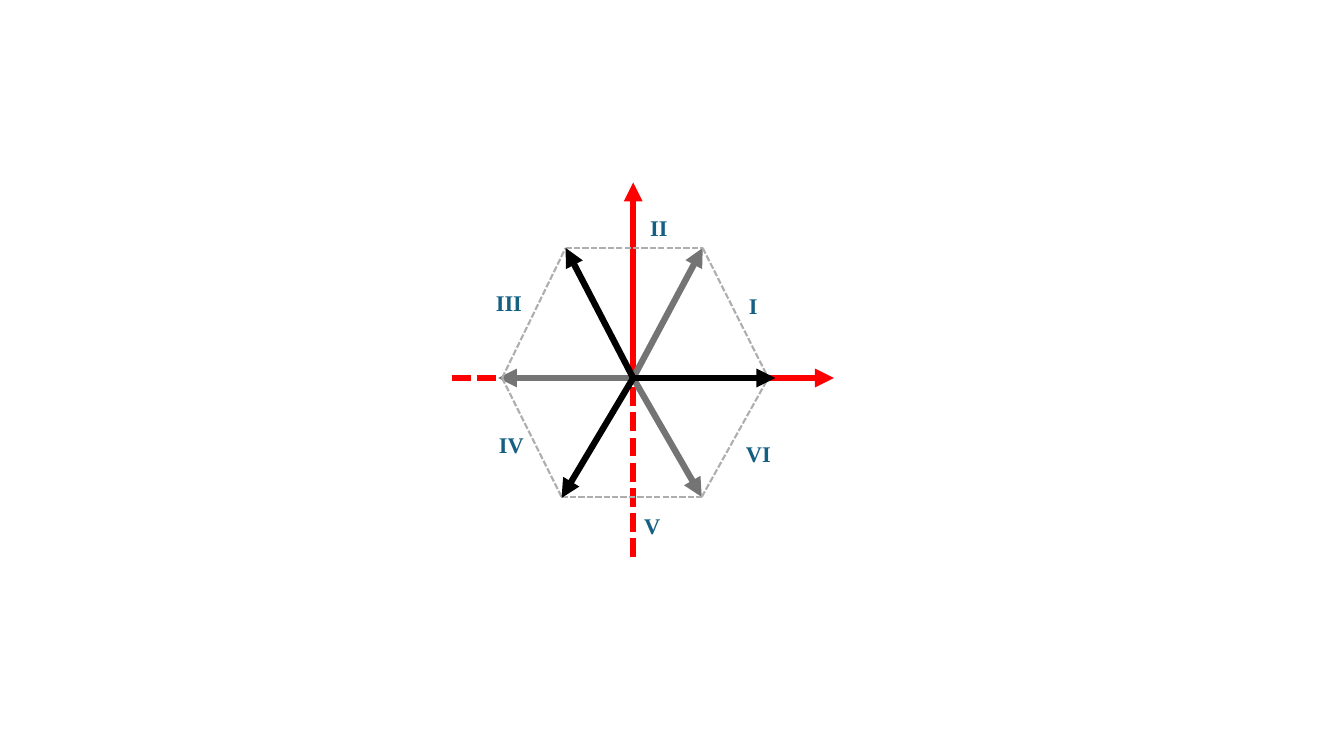
from dataclasses import dataclass

from lxml.etree import SubElement
from pptx import Presentation
from pptx.dml.color import RGBColor
from pptx.enum.dml import MSO_LINE
from pptx.enum.shapes import MSO_CONNECTOR
from pptx.enum.text import MSO_AUTO_SIZE
from pptx.oxml.ns import qn
from pptx.util import Inches, Pt


@dataclass(frozen=True)
class Theme:
    axis: str = "FF0000"
    opposite_vector: str = "747474"
    phase_vector: str = "000000"
    hexagon: str = "AEAEAE"
    label: str = "156082"
    font: str = "Times New Roman"
    label_size: float = 16
    heavy: float = 4.5
    thin: float = 1.5


THEME = Theme()

ORIGIN = (6.28, 3.75)
POSITIVE_AXES = [(8.27, 3.75), (6.28, 1.81)]
NEGATIVE_AXES = [(4.48, 3.75), (6.28, 5.53)]
OPPOSITE_TIPS = [(6.97, 2.46), (6.96, 4.93), (4.94, 3.75)]
PHASE_TIPS = [(7.69, 3.75), (5.61, 2.46), (5.57, 4.94)]

CORNERS = {
    "right": (7.62, 3.75),
    "upper right": (6.97, 2.46),
    "upper left": (5.61, 2.46),
    "left": (4.98, 3.75),
    "lower left": (5.57, 4.93),
    "lower right": (6.96, 4.93),
}
EDGES = [
    ("upper left", "upper right"),
    ("left", "upper left"),
    ("upper right", "right"),
    ("lower left", "lower right"),
    ("lower right", "right"),
    ("left", "lower left"),
]

SECTORS = [
    ("I", 7.33, 2.85, 0.29),
    ("II", 6.35, 2.08, 0.38),
    ("III", 4.82, 2.82, 0.46),
    ("IV", 4.85, 4.23, 0.45),
    ("V", 6.29, 5.03, 0.36),
    ("VI", 7.3, 4.32, 0.45),
]
LABEL_HEIGHT = 0.37


def draw_line(slide, start, end, color, width, dashed=False, arrow=False):
    segment = slide.shapes.add_connector(
        MSO_CONNECTOR.STRAIGHT, *map(Inches, start + end)
    )
    segment.line.color.rgb = RGBColor.from_string(color)
    segment.line.width = Pt(width)
    if dashed:
        segment.line.dash_style = MSO_LINE.SQUARE_DOT
    properties = segment._element.spPr
    if arrow:
        SubElement(properties.find(qn("a:ln")), qn("a:tailEnd"), type="triangle")
    SubElement(properties, qn("a:effectLst"))


def draw_vectors(slide, tips, color):
    for tip in tips:
        draw_line(slide, ORIGIN, tip, color, THEME.heavy, arrow=True)


def draw_label(slide, numeral, left, top, width):
    label = slide.shapes.add_textbox(*map(Inches, (left, top, width, LABEL_HEIGHT)))
    frame = label.text_frame
    frame.word_wrap = False
    frame.auto_size = MSO_AUTO_SIZE.SHAPE_TO_FIT_TEXT
    paragraph = frame.paragraphs[0]
    paragraph.text = numeral
    paragraph.font.name = THEME.font
    paragraph.font.size = Pt(THEME.label_size)
    paragraph.font.bold = True
    paragraph.font.color.rgb = RGBColor.from_string(THEME.label)


def main():
    deck = Presentation()
    deck.slide_width, deck.slide_height = Inches(13.33), Inches(7.5)
    slide = deck.slides.add_slide(deck.slide_layouts[6])

    draw_vectors(slide, POSITIVE_AXES, THEME.axis)
    for outer_end in NEGATIVE_AXES:
        draw_line(slide, outer_end, ORIGIN, THEME.axis, THEME.heavy, dashed=True)
    draw_vectors(slide, OPPOSITE_TIPS, THEME.opposite_vector)
    for first, second in EDGES:
        draw_line(
            slide, CORNERS[first], CORNERS[second],
            THEME.hexagon, THEME.thin, dashed=True,
        )
    for sector in SECTORS:
        draw_label(slide, *sector)
    draw_vectors(slide, PHASE_TIPS, THEME.phase_vector)

    deck.save("out.pptx")


if __name__ == "__main__":
    main()
